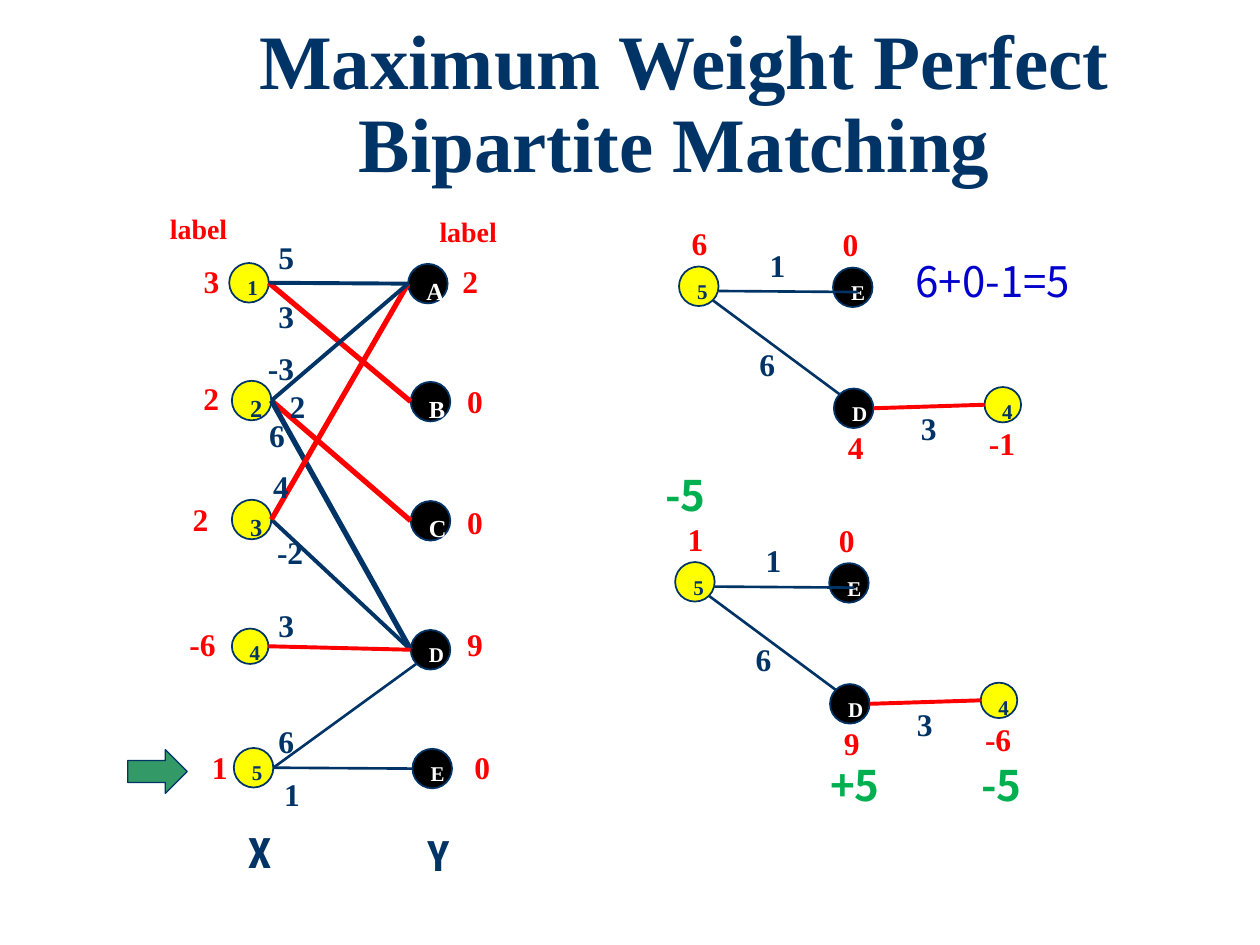
from lxml.etree import SubElement
from pptx import Presentation
from pptx.dml.color import RGBColor
from pptx.enum.shapes import MSO_CONNECTOR, MSO_SHAPE
from pptx.enum.text import MSO_ANCHOR, MSO_AUTO_SIZE, PP_ALIGN
from pptx.oxml.ns import qn
from pptx.util import Pt

NAVY, RED, YELLOW, BLACK, WHITE = "003366", "FF0000", "FFFF00", "000000", "FFFFFF"
BLUE, GREEN, ARROW = "0000CC", "00B050", "339966"
SERIF, SANS, CONDENSED = "Times New Roman", "Noto Sans CJK KR", "Roboto Condensed"
TITLE = "Maximum Weight Perfect Bipartite Matching "

GRAPH_NODES = [
    ("1", 131, 150.3, 12), ("A", 233.2, 150.8, 14),
    ("2", 132.5, 217.6, 14), ("B", 234.7, 218.2, 14),
    ("3", 132.5, 285.6, 14), ("C", 234.7, 286.3, 14),
    ("4", 132.5, 359.2, 12), ("D", 234.7, 360, 12),
    ("5", 133.6, 427.4, 12), ("E", 235.7, 427.9, 12),
]
GRAPH_EDGES = [
    ("1", "B", RED, 3), ("2", "C", RED, 3), ("2", "D", NAVY, 3),
    ("3", "D", NAVY, 2.25), ("3", "A", RED, 3), ("4", "D", RED, 2.25),
    ("5", "D", NAVY, 1.5), ("5", "E", NAVY, 1.5),
    ("1", "A", NAVY, 2.25), ("2", "A", NAVY, 2.25),
]
GRAPH_WEIGHTS = [
    ("5", 152, 132.5), ("3", 152, 166.3), ("-3", 146, 195.8), ("2", 158.4, 217.8),
    ("6", 146.7, 234.4), ("4", 149, 263.5), ("-2", 151.2, 301), ("3", 152, 342.7),
    ("6", 152, 409), ("1", 155.3, 439.4),
]
GRAPH_LABELS = [
    ("3", 109.3, 146.2), ("2", 109.1, 213.1), ("2", 103, 282.2), ("-6", 101.2, 353.5),
    ("1", 114, 424), ("2", 257.2, 146.2), ("0", 259.9, 214.6), ("0", 259.9, 283.7),
    ("9", 259.9, 353.5), ("0", 264, 424),
]

TREE_NODES = [("5", 388, 152.3, 12), ("E", 476, 152.9, 12),
              ("4", 562.6, 221.2, 12), ("D", 476.5, 222, 12)]
TREE_WEIGHTS = [("1", 432.7, 136.8), ("6", 426.9, 193.4), ("3", 519.1, 230.4)]
TREE_LABELS = [(388.1, 124.6), (474.5, 125.3), (477.4, 241.2), (558, 239)]
TREES = [
    (0, 0, ("6", "0", "4", "-1")),
    (-2.2, 168.9, ("1", "0", "9", "-6")),
]

NOTES = [
    ("label", 90, 117.4, 47.5, 16, SERIF, RED, True),
    ("label", 244.1, 118.8, 47.5, 16, SERIF, RED, True),
    ("X", 134.6, 468.7, 28.8, 24, CONDENSED, NAVY, True),
    ("Y", 236.9, 470.2, 28, 24, CONDENSED, NAVY, True),
    ("6+0-1=5", 516.2, 142.6, 112.3, 24, SANS, BLUE, False),
    ("-5", 373, 265, 38.9, 24, SANS, GREEN, True),
    ("+5", 467.3, 430.6, 46, 24, SANS, GREEN, True),
    ("-5", 553.7, 430.6, 38.9, 24, SANS, GREEN, True),
]

RIM = {"left": (0, 0.5), "right": (1, 0.5), "top left": (0.15, 0.15),
       "bottom left": (0.15, 0.85), "bottom right": (0.85, 0.85)}

prs = Presentation()
prs.slide_width, prs.slide_height = Pt(720), Pt(540)
s = prs.slides.add_slide(prs.slide_layouts[6])


def rgb(color):
    return RGBColor.from_string(color)


def style(p, size, font, color, bold=True):
    for r in p.runs:
        r.font.size, r.font.name, r.font.bold = Pt(size), font, bold
        r.font.color.rgb = rgb(color)


def shape(kind, x, y, w, h, fill, width):
    sp = s.shapes.add_shape(kind, Pt(x), Pt(y), Pt(w), Pt(h))
    sp.shadow.inherit = False
    sp.fill.solid()
    sp.fill.fore_color.rgb = rgb(fill)
    sp.line.color.rgb = rgb(NAVY)
    sp.line.width = Pt(width)
    return sp


def node(name, x, y, size):
    w, h = (20.9, 20.2) if name == "4" else (22.6, 22.6)
    fill, color = (YELLOW, NAVY) if name.isdigit() else (BLACK, WHITE)
    sp = shape(MSO_SHAPE.OVAL, x, y, w, h, fill, 1)
    tf = sp.text_frame
    tf.text = name
    tf.word_wrap = False
    tf.vertical_anchor = MSO_ANCHOR.TOP
    p = tf.paragraphs[0]
    p.alignment = PP_ALIGN.LEFT
    style(p, size, SERIF, color)
    return x, y, w, h


def rim(box, side):
    x, y, w, h = box
    fx, fy = RIM[side]
    return x + fx * w, y + fy * h


def edge(start, end, color, width):
    c = s.shapes.add_connector(MSO_CONNECTOR.STRAIGHT, *map(Pt, start + end))
    c.line.color.rgb = rgb(color)
    c.line.width = Pt(width)
    SubElement(c._element.spPr, qn("a:effectLst"))


def text(words, x, y, w, size, font, color, bold=True):
    tb = s.shapes.add_textbox(Pt(x), Pt(y), Pt(w), Pt(size * 1.2 + 7.2))
    tf = tb.text_frame
    tf.text = words
    tf.word_wrap = False
    tf.auto_size = MSO_AUTO_SIZE.SHAPE_TO_FIT_TEXT
    style(tf.paragraphs[0], size, font, color, bold)


def number(words, x, y, color):
    text(words, x, y, 23.4 if len(words) == 1 else 29.4, 18, SERIF, color)


def tree(dx, dy, labels):
    boxes = {n: node(n, x + dx, y + dy, size) for n, x, y, size in TREE_NODES}
    x, y = rim(boxes["5"], "right")
    edge((x, y + 2.7), (x + 79.5, y + 3.3), NAVY, 1.5)
    edge(rim(boxes["5"], "bottom right"), rim(boxes["D"], "top left"), NAVY, 1.5)
    edge(rim(boxes["D"], "right"), rim(boxes["4"], "left"), RED, 2.25)
    for words, x, y in TREE_WEIGHTS:
        number(words, x + dx, y + dy, NAVY)
    for words, (x, y) in zip(labels, TREE_LABELS):
        number(words, x + dx, y + dy, RED)


tb = s.shapes.add_textbox(Pt(103), Pt(9.4), Pt(576), Pt(66.2))
tf = tb.text_frame
tf.text = TITLE
tf.word_wrap = True
p = tf.paragraphs[0]
p.alignment = PP_ALIGN.CENTER
p.line_spacing = 0.9
style(p, 44, SERIF, NAVY)

graph = {n: node(n, x, y, size) for n, x, y, size in GRAPH_NODES}
for a, b, color, width in GRAPH_EDGES:
    side = "bottom left" if a + b == "5D" else "left"
    edge(rim(graph[a], "right"), rim(graph[b], side), color, width)
for items, color in ((GRAPH_WEIGHTS, NAVY), (GRAPH_LABELS, RED)):
    for words, x, y in items:
        number(words, x, y, color)
shape(MSO_SHAPE.RIGHT_ARROW, 73, 428.4, 34, 25, ARROW, 0.75)

for dx, dy, labels in TREES:
    tree(dx, dy, labels)
for note in NOTES:
    text(*note)

prs.save("out.pptx")
